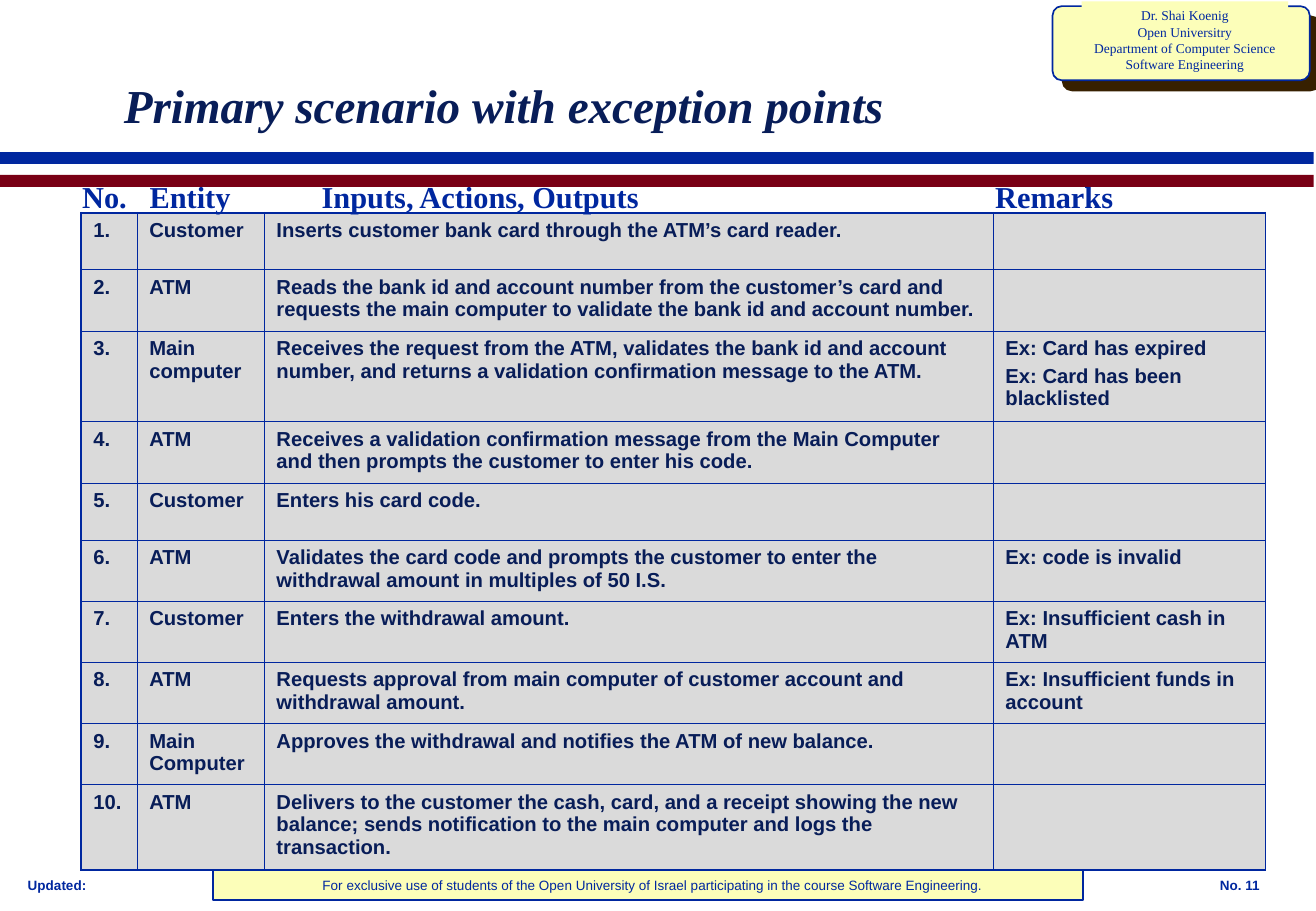
from lxml import etree
from pptx import Presentation
from pptx.dml.color import RGBColor
from pptx.enum.shapes import MSO_SHAPE
from pptx.enum.text import MSO_ANCHOR, PP_ALIGN
from pptx.oxml import parse_xml
from pptx.oxml.ns import nsdecls, qn
from pptx.util import Cm, Pt

RECTANGLE = MSO_SHAPE.RECTANGLE
ROUNDED = MSO_SHAPE.ROUNDED_RECTANGLE
LEFT, CENTER = PP_ALIGN.LEFT, PP_ALIGN.CENTER
MIDDLE = MSO_ANCHOR.MIDDLE

BLUE = RGBColor(0x00, 0x27, 0x9F)
NAVY = RGBColor(0x08, 0x1D, 0x58)
MAROON = RGBColor(0x79, 0x00, 0x15)
YELLOW = RGBColor(0xFC, 0xFE, 0xB9)
BROWN = RGBColor(0x37, 0x20, 0x00)
GREY = RGBColor(0xDA, 0xDA, 0xDA)
SERIF, SANS = "Times New Roman", "Arial"

COLUMN_WIDTHS = [1.17, 2.66, 15.25, 5.69]
ROW_HEIGHTS = [1.19, 1.28, 1.9, 1.28, 1.19, 1.28, 1.28, 1.28, 1.28, 1.78]
INNER_BORDER, OUTER_BORDER = Pt(0.45), Pt(1.08)
STEPS = [
    ("Customer", "Inserts customer bank card through the ATM’s card reader.", []),
    ("ATM", "Reads the bank id and account number from the customer’s card and "
     "requests the main computer to validate the bank id and account number.", []),
    ("Main computer", "Receives the request from the ATM, validates the bank id and account "
     "number, and returns a validation confirmation message to the ATM.",
     ["Ex: Card has expired", "Ex: Card has been blacklisted"]),
    ("ATM", "Receives a validation confirmation message from the Main Computer "
     "and then prompts the customer to enter his code.", []),
    ("Customer", "Enters his card code.", []),
    ("ATM", "Validates the card code and prompts the customer to enter the "
     "withdrawal amount in multiples of 50 I.S.", ["Ex: code is invalid"]),
    ("Customer", "Enters the withdrawal amount.", ["Ex: Insufficient cash in ATM"]),
    ("ATM", "Requests approval from main computer of customer account and "
     "withdrawal amount.", ["Ex: Insufficient funds in account"]),
    ("Main Computer", "Approves the withdrawal and notifies the ATM of new balance.", []),
    ("ATM", "Delivers to the customer the cash, card, and a receipt showing the new "
     "balance; sends notification to the main computer and logs the transaction.", []),
]


def add_block(kind, left, top, width, height, fill, line=None):
    shape = slide.shapes.add_shape(kind, Cm(left), Cm(top), Cm(width), Cm(height))
    shape.shadow.inherit = False
    shape.fill.solid()
    shape.fill.fore_color.rgb = fill
    if line is None:
        shape.line.fill.background()
    else:
        shape.line.color.rgb = line
        shape.line.width = Pt(1)
    return shape


def write_lines(frame, lines, size, font_name, color, bold=False, italic=False,
                align=LEFT, gap=0):
    """Fill a text frame with one paragraph per line, gap points apart."""
    frame.word_wrap = True
    for index, line in enumerate(lines):
        paragraph = frame.add_paragraph() if index else frame.paragraphs[0]
        paragraph.alignment = align
        if index:
            paragraph.space_before = Pt(gap)
        run = paragraph.add_run()
        run.text = line
        font = run.font
        font.size, font.name, font.bold, font.italic = Pt(size), font_name, bold, italic
        font.color.rgb = color


presentation = Presentation()
presentation.slide_width = Cm(27.53)
presentation.slide_height = Cm(19.05)
slide = presentation.slides.add_slide(presentation.slide_layouts[6])

# Footer panel, colour bands and author card
add_block(RECTANGLE, 4.45, 18.01, 18.21, 0.81, YELLOW, BLUE)
for band_top, band_color in [(3.18, BLUE), (3.66, MAROON)]:
    add_block(RECTANGLE, 0, band_top, 27.48, 0.25, band_color)

card = add_block(ROUNDED, 22.02, 0.13, 5.38, 1.55, YELLOW, BLUE)
card.adjustments[0] = 0.125
effects = card._element.spPr.find(qn("a:effectLst"))
shadow = etree.SubElement(effects, qn("a:outerShdw"), dist=str(Pt(8.5)),
                          dir="2700000", algn="ctr", rotWithShape="0")
etree.SubElement(shadow, qn("a:srgbClr"), val=str(BROWN))

author = add_block(RECTANGLE, 22.63, 0.03, 4.32, 1.6, YELLOW)
author.text_frame.vertical_anchor = MSO_ANCHOR.TOP
write_lines(author.text_frame,
            ["Dr. Shai Koenig", "Open Universitry", "Department of Computer Science",
             "Software Engineering"], 8, SERIF, BLUE, align=CENTER)

# Footer texts
for text, left, width, bold, align in [
    ("Updated:", 0.33, 2.92, True, LEFT),
    ("No. 11", 25.27, 2.16, True, LEFT),
    ("For exclusive use of students of the Open University of Israel participating "
     "in the course Software Engineering.", 4.45, 18.42, False, CENTER),
]:
    footer = slide.shapes.add_textbox(Cm(left), Cm(18.22), Cm(width), Cm(0.6))
    write_lines(footer.text_frame, [text], 8, SANS, BLUE, bold=bold, align=align)

title = slide.shapes.add_textbox(Cm(2.34), Cm(1.47), Cm(22.71), Cm(1.45))
title.text_frame.vertical_anchor = MIDDLE
write_lines(title.text_frame, ["Primary scenario with exception points"], 28, SERIF, NAVY,
            bold=True, italic=True)

# Scenario table
table = slide.shapes.add_table(len(STEPS), len(COLUMN_WIDTHS), Cm(1.7), Cm(4.45),
                               Cm(sum(COLUMN_WIDTHS)), Cm(sum(ROW_HEIGHTS))).table
table.first_row = False
table.horz_banding = False
for column, width in zip(table.columns, COLUMN_WIDTHS):
    column.width = Cm(width)
last_row, last_column = len(STEPS) - 1, len(COLUMN_WIDTHS) - 1
for row, (entity, action, remarks) in enumerate(STEPS):
    table.rows[row].height = Cm(ROW_HEIGHTS[row])
    for column, lines in enumerate([[f"{row + 1}."], [entity], [action], remarks]):
        cell = table.cell(row, column)
        write_lines(cell.text_frame, lines, 12, SANS, NAVY, bold=True, gap=3)
        on_edge = {"lnL": column == 0, "lnR": column == last_column,
                   "lnT": row == 0, "lnB": row == last_row}
        for side, is_outer in on_edge.items():
            border_width = OUTER_BORDER if is_outer else INNER_BORDER
            cell._tc.get_or_add_tcPr().append(parse_xml(
                f'<a:{side} {nsdecls("a")} w="{border_width}"><a:solidFill>'
                f'<a:srgbClr val="{BLUE}"/></a:solidFill></a:{side}>'))
        cell.fill.solid()
        cell.fill.fore_color.rgb = GREY

# Column headings on tab stops
headings = slide.shapes.add_textbox(Cm(1.47), Cm(3.61), Cm(25.2), Cm(1.02))
properties = headings.text_frame.paragraphs[0]._p.get_or_add_pPr()
tab_list = etree.SubElement(properties, qn("a:tabLst"))
for position in [1.41, 5.01, 19.1]:
    etree.SubElement(tab_list, qn("a:tab"), pos=str(Cm(position)), algn="l")
write_lines(headings.text_frame, ["No.\tEntity\tInputs, Actions, Outputs\tRemarks"],
            18, SERIF, BLUE, bold=True)

presentation.save("out.pptx")
